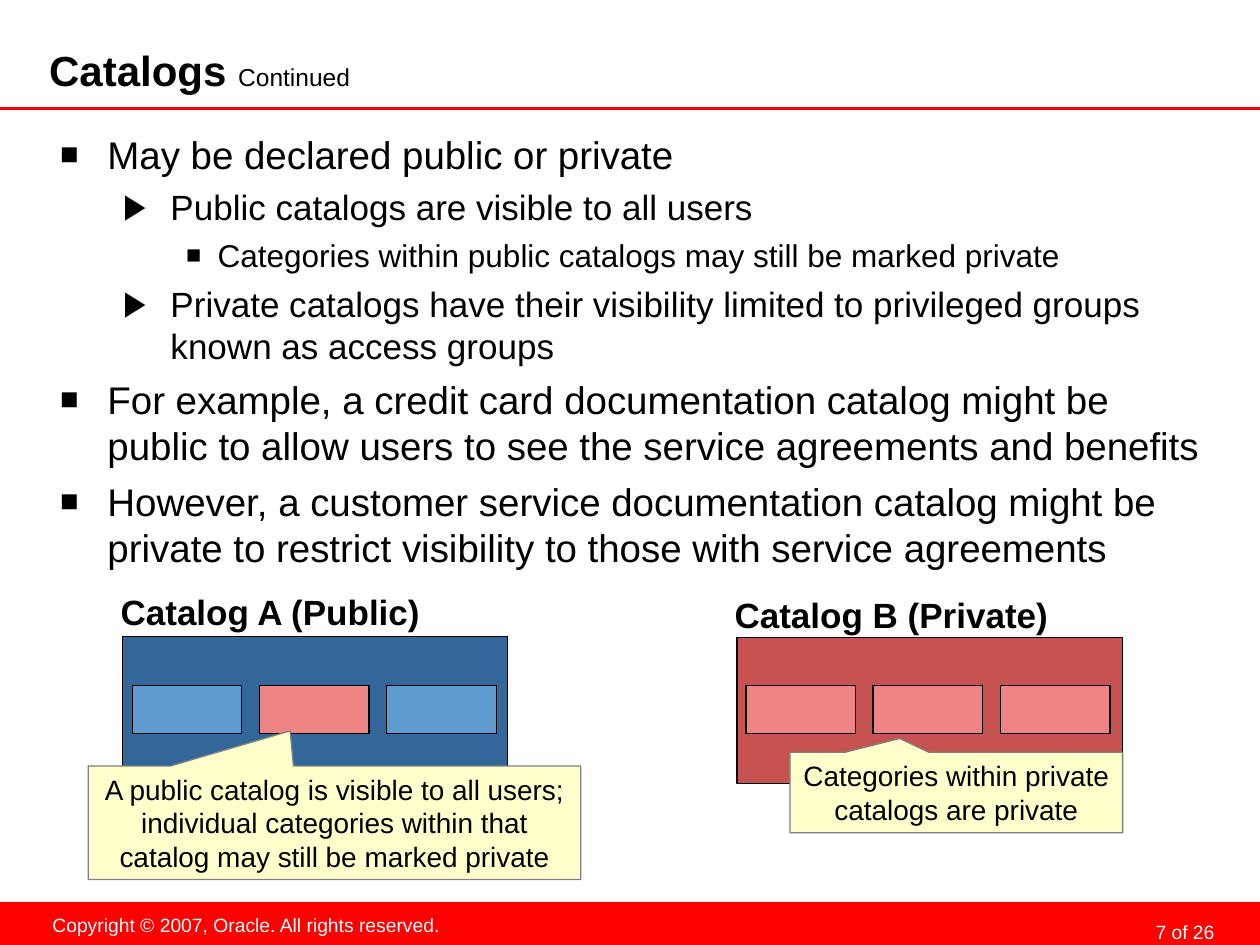
import pptx
import pptx.util
import pptx.dml.color
import pptx.enum.shapes
import pptx.enum.text
import pptx.oxml.ns
import lxml.etree

Pt = pptx.util.Pt
Inches = pptx.util.Inches
Shape = pptx.enum.shapes.MSO_SHAPE
Align = pptx.enum.text.PP_ALIGN
Anchor = pptx.enum.text.MSO_ANCHOR

COLS, ROWS = 100, 75
BLACK, WHITE, RED, GREY = "000000", "FFFFFF", "FF0000", "808080"
NAVY, BLUE, BRICK, PINK, CREAM = "336699", "5F9BCF", "C65252", "EF8484", "FFFFCC"

# level: text size, left indent, hanging indent, space before, bullet, bullet size
LEVELS = [
    (22, 0.375, 0.375, 5.5, "■", 80),
    (20, 0.875, 0.375, 5, "▶", 100),
    (18, 1.25, 0.25, 4.5, "■", 80),
]
POINTS = [
    (0, "May be declared public or private"),
    (1, "Public catalogs are visible to all users"),
    (2, "Categories within public catalogs may still be marked private"),
    (1, "Private catalogs have their visibility limited to privileged groups "
        "known as access groups"),
    (0, "For example, a credit card documentation catalog might be public to "
        "allow users to see the service agreements and benefits"),
    (0, "However, a customer service documentation catalog might be private "
        "to restrict visibility to those with service agreements"),
]


def color(code):
    return pptx.dml.color.RGBColor.from_string(code)


def add_tag(parent, name, **attrs):
    tag = lxml.etree.SubElement(parent, pptx.oxml.ns.qn(name))
    for key, value in attrs.items():
        tag.set(key, str(value))
    return tag


def write(para, text, size=16, bold=False, ink=BLACK, align=Align.LEFT):
    run = para.add_run()
    run.text = text
    run.font.name = "Arial"
    run.font.size = Pt(size)
    run.font.bold = bold
    run.font.color.rgb = color(ink)
    para.alignment = align


class Page:
    """Holds the slide and its style; lengths are grid columns and rows."""

    def __init__(self, deck):
        self.slide = deck.slides.add_slide(deck.slide_layouts[6])
        self.shapes = self.slide.shapes
        self.col = deck.slide_width / COLS
        self.row = deck.slide_height / ROWS
        fill = self.slide.background.fill
        fill.solid()
        fill.fore_color.rgb = color(WHITE)

    def place(self, left, top, wide, high):
        return [round(n) for n in (left * self.col, top * self.row,
                                   wide * self.col, high * self.row)]

    def block(self, *area, fill, line=BLACK, kind=Shape.RECTANGLE):
        shape = self.shapes.add_shape(kind, *self.place(*area))
        shape.shadow.inherit = False
        shape.fill.solid()
        shape.fill.fore_color.rgb = color(fill)
        if line:
            shape.line.color.rgb = color(line)
            shape.line.width = Pt(0.75)
        else:
            shape.line.fill.background()
        return shape

    def frame(self, *area, pads=(0.1, 0.05, 0.1, 0.05), wrap=True, anchor=Anchor.TOP):
        frame = self.shapes.add_textbox(*self.place(*area)).text_frame
        frame.word_wrap = wrap
        frame.vertical_anchor = anchor
        (frame.margin_left, frame.margin_top,
         frame.margin_right, frame.margin_bottom) = map(Inches, pads)
        return frame

    def label(self, text, *area, **style):
        frame = self.frame(*area, wrap=False)
        write(frame.paragraphs[0], text, align=Align.CENTER, **style)

    def note(self, text, *area, tip):
        """Callout whose tip is a share of its size away from its centre."""
        shape = self.block(*area, fill=CREAM, line=GREY,
                           kind=Shape.RECTANGULAR_CALLOUT)
        shape.adjustments[0], shape.adjustments[1] = tip
        frame = shape.text_frame
        frame.word_wrap = True
        frame.vertical_anchor = Anchor.MIDDLE
        write(frame.paragraphs[0], text, align=Align.CENTER)

    def rule(self, row):
        left, top, wide, _ = self.place(0, row, COLS, 0)
        line = self.shapes.add_connector(
            pptx.enum.shapes.MSO_CONNECTOR.STRAIGHT, left, top, wide, top)
        line.line.color.rgb = color(RED)
        line.line.width = Pt(1.75)
        add_tag(line._element.spPr, "a:effectLst")

    def bullets(self, points, *area):
        frame = self.frame(*area, pads=(0.1, 0.1, 0.1, 0.05))
        for i, (level, text) in enumerate(points):
            size, left, hang, gap, mark, share = LEVELS[level]
            para = frame.add_paragraph() if i else frame.paragraphs[0]
            para.level = level
            props = para._p.get_or_add_pPr()
            props.set("marL", str(Inches(left)))
            props.set("indent", str(-Inches(hang)))
            add_tag(add_tag(props, "a:buClr"), "a:srgbClr", val=BLACK)
            add_tag(props, "a:buSzPct", val=share * 1000)
            add_tag(props, "a:buFont", typeface="Arial")
            add_tag(props, "a:buChar", char=mark)
            if i:
                para.space_before = Pt(gap)
            write(para, text, size=size)

    def catalog(self, left, top, fill, first, tints):
        """Outer box with a row of evenly spaced categories."""
        self.block(left, top, 30.6, 11.6, fill=fill)
        for i, tint in enumerate(tints):
            self.block(first + i * 10.1, 54.4, 8.7, 3.8, fill=tint)


def main():
    deck = pptx.Presentation()
    deck.slide_width, deck.slide_height = Inches(10), Inches(7.5)
    page = Page(deck)

    page.block(0, 71.6, COLS, 3.4, fill=RED, line=None)
    count = page.frame(73.6, 72.4, 23.3, 2.5, pads=(0.05, 0, 0.05, 0))
    write(count.paragraphs[0], "7 of 26", size=11, ink=WHITE, align=Align.RIGHT)
    count.paragraphs[0].line_spacing = Pt(18)
    page.label("Copyright © 2007, Oracle. All rights reserved.",
               3.1, 72, 32.9, 2.9, size=11, ink=WHITE)
    page.rule(8.6)

    title = page.frame(3.9, 3.8, 78.7, 4, pads=(0, 0, 0.05, 0.05),
                       anchor=Anchor.MIDDLE).paragraphs[0]
    write(title, "Catalogs ", size=24, bold=True)
    write(title, "Continued", size=14)
    page.bullets(POINTS, 3.8, 9.4, 93, 61.7)

    page.catalog(9.7, 50.5, NAVY, 10.5, (BLUE, PINK, BLUE))
    page.label("Catalog A (Public)", 8.5, 46.4, 25.9, 4.4, size=20, bold=True)
    page.note("A public catalog is visible to all users; individual categories "
              "within that catalog may still be marked private",
              7, 60.8, 39.1, 9, tip=(-0.09, -0.81))

    page.catalog(58.5, 50.6, BRICK, 59.2, (PINK, PINK, PINK))
    page.label("Catalog B (Private)", 57.3, 46.6, 26.9, 4.4, size=20, bold=True)
    page.note("Categories within private catalogs are private",
              62.7, 59.7, 26.4, 6.4, tip=(-0.17, -0.67))

    deck.save("out.pptx")


if __name__ == "__main__":
    main()
